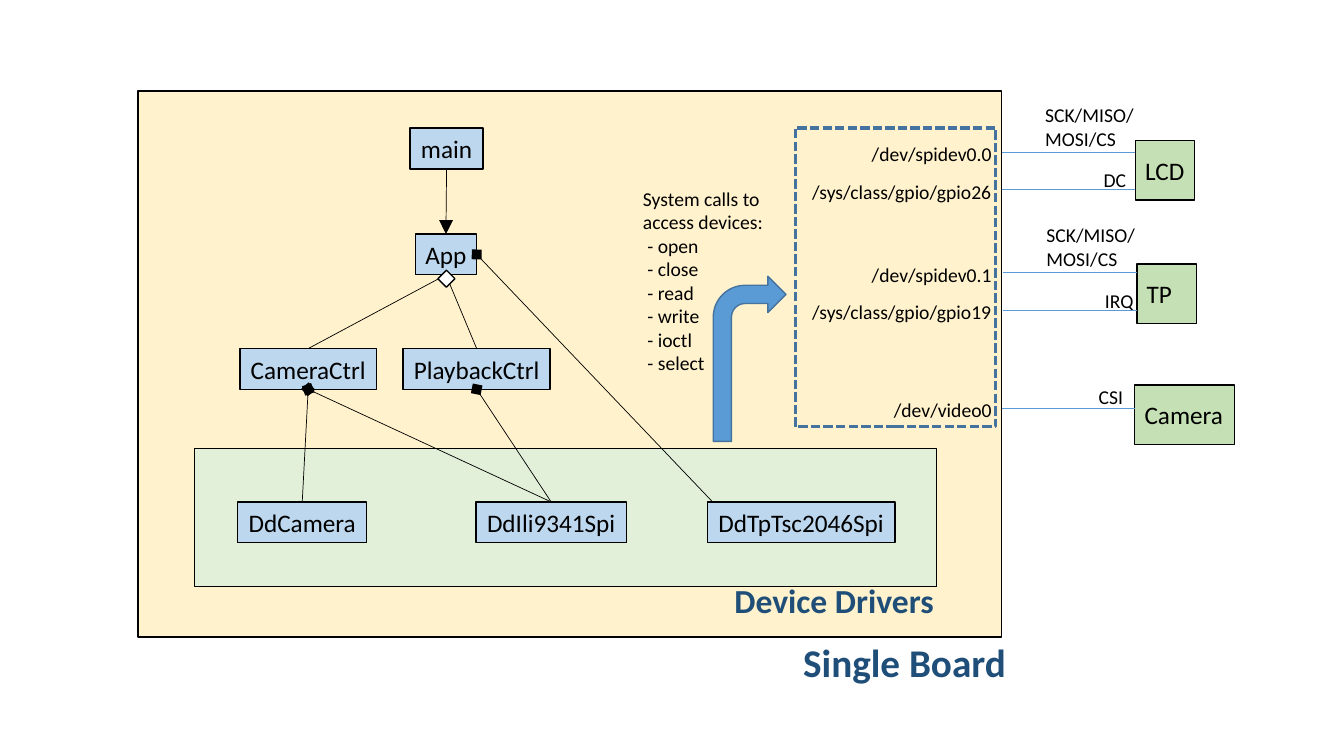
import pptx
import pptx.util
import pptx.dml.color
import pptx.enum.dml
import pptx.enum.shapes
import pptx.enum.text
import pptx.oxml
import pptx.oxml.ns

Pt = pptx.util.Pt
RGBColor = pptx.dml.color.RGBColor
SHAPE = pptx.enum.shapes.MSO_SHAPE
ANCHOR = pptx.enum.text.MSO_ANCHOR
ALIGN = pptx.enum.text.PP_ALIGN
GROW = pptx.enum.text.MSO_AUTO_SIZE

BLACK = RGBColor(0x00, 0x00, 0x00)
WHITE = RGBColor(0xFF, 0xFF, 0xFF)
CREAM = RGBColor(0xFF, 0xF2, 0xCC)
PALE_GREEN = RGBColor(0xE2, 0xF0, 0xD9)
GREEN = RGBColor(0xC5, 0xE0, 0xB4)
PALE_BLUE = RGBColor(0xBD, 0xD7, 0xEE)
BLUE = RGBColor(0x5B, 0x9B, 0xD5)
STEEL = RGBColor(0x43, 0x73, 0x9E)
NAVY = RGBColor(0x1F, 0x4E, 0x79)

CLASS_HEIGHT = 29.1
DEVICE_HEIGHT = 42.5
BOARD_EDGE = 715.7
DEVICE_EDGE = 811
LABEL_HEIGHT = 24.2
TP_SHIFT = (1, 86)


def apply_format(target, values):
    for name, value in values.items():
        setattr(target, name, value)


def write(owner, text, size=14, color=BLACK, bold=False, align=ALIGN.LEFT, **frame_format):
    frame = owner.text_frame
    apply_format(frame, {"word_wrap": False, **frame_format})
    for number, words in enumerate(text.split("\n")):
        paragraph = frame.add_paragraph() if number else frame.paragraphs[0]
        paragraph.alignment = align
        run = paragraph.add_run()
        run.text = words
        apply_format(run.font, {"name": "Calibri", "size": Pt(size), "bold": bold})
        run.font.color.rgb = color


def shape(slide, kind, box, fill=None, outline=BLACK, **line_format):
    figure = slide.shapes.add_shape(kind, *map(Pt, box))
    figure.shadow.inherit = False
    if fill is None:
        figure.fill.background()
    else:
        figure.fill.solid()
        figure.fill.fore_color.rgb = fill
    figure.line.color.rgb = outline
    apply_format(figure.line, {"width": Pt(1), **line_format})
    return figure


def class_box(slide, name, left, top, width):
    box = shape(slide, SHAPE.RECTANGLE, (left, top, width, CLASS_HEIGHT), PALE_BLUE)
    write(box, name, 18, align=ALIGN.CENTER, vertical_anchor=ANCHOR.MIDDLE,
          auto_size=GROW.SHAPE_TO_FIT_TEXT)
    return box


def device(slide, name, left, top, width=DEVICE_HEIGHT):
    box = shape(slide, SHAPE.RECTANGLE, (left, top, width, DEVICE_HEIGHT), GREEN)
    write(box, name, 18, vertical_anchor=ANCHOR.MIDDLE)


def label(slide, text, left, top, width, height=LABEL_HEIGHT, **style):
    box = slide.shapes.add_textbox(*map(Pt, (left, top, width, height)))
    write(box, text, auto_size=GROW.SHAPE_TO_FIT_TEXT, **style)


def link(slide, start, end, color=BLACK, head=None, tail=None):
    line = slide.shapes.add_connector(pptx.enum.shapes.MSO_CONNECTOR.STRAIGHT, *start, *end)
    line.line.color.rgb = color
    line.line.width = Pt(0.5)
    for tag, arrow in (("a:headEnd", head), ("a:tailEnd", tail)):
        if arrow:
            tip = pptx.oxml.parse_xml(
                f'<{tag} {pptx.oxml.ns.nsdecls("a")} type="{arrow}" w="lg" len="lg"/>')
            line.line._get_or_add_ln().append(tip)
    line._element.spPr.append(
        pptx.oxml.parse_xml(f'<a:effectLst {pptx.oxml.ns.nsdecls("a")}/>'))


def top_of(box):
    return box.left + box.width // 2, box.top


def bottom_of(box):
    return box.left + box.width // 2, box.top + box.height


def right_of(box):
    return box.left + box.width, box.top + box.height // 2


def wire(slide, y, dx=0):
    link(slide, (Pt(DEVICE_EDGE + dx), Pt(y)), (Pt(BOARD_EDGE + dx), Pt(y)), BLUE)


def spi_wiring(slide, spi_node, gpio_node, signal, signal_width, dx=0, dy=0):
    label(slide, spi_node, 615.6, 98 + dy, 100.8)
    label(slide, gpio_node, 573.1, 125 + dy, 144)
    label(slide, signal, 781.2 + dx, 116.7 + dy, signal_width)
    label(slide, "SCK/MISO/\nMOSI/CS", 739.4 + dx, 70 + dy, 78.5, 41.2)
    for y in (108.6, 135.5):
        wire(slide, y + dy, dx)


def draw_classes(slide):
    main_box = class_box(slide, "main", 293, 91.5, 52)
    app = class_box(slide, "App", 296.6, 167.2, 43.9)
    camera_ctrl = class_box(slide, "CameraCtrl", 171.5, 249, 97.3)
    playback_ctrl = class_box(slide, "PlaybackCtrl", 288, 249, 105)
    camera_driver = class_box(slide, "DdCamera", 169.8, 358.5, 92.2)
    lcd_driver = class_box(slide, "DdIli9341Spi", 340, 358.5, 107.4)
    touch_driver = class_box(slide, "DdTpTsc2046Spi", 505.3, 358.5, 133.9)

    link(slide, top_of(app), bottom_of(main_box), head="triangle")
    for controller in (camera_ctrl, playback_ctrl):
        link(slide, top_of(controller), bottom_of(app))
    for driver, controller in ((camera_driver, camera_ctrl), (lcd_driver, playback_ctrl),
                               (lcd_driver, camera_ctrl)):
        link(slide, top_of(driver), bottom_of(controller), tail="diamond")
    link(slide, (Pt(509), touch_driver.top), right_of(app), tail="diamond")
    shape(slide, SHAPE.DIAMOND, (312.8, 193, 12.2, 12.2), WHITE)


def draw_devices(slide):
    device(slide, "LCD", 810.9, 100.5)
    spi_wiring(slide, "/dev/spidev0.0", "/sys/class/gpio/gpio26", "DC", 31)
    device(slide, "TP", 812, 188.5)
    spi_wiring(slide, "/dev/spidev0.1", "/sys/class/gpio/gpio19", "IRQ", 35.3, *TP_SHIFT)
    device(slide, "Camera", 810.5, 275, 71.5)
    label(slide, "/dev/video0", 631.4, 280.9, 85)
    label(slide, "CSI", 777.6, 271.5, 32.4)
    wire(slide, 291.6)


def main():
    deck = pptx.Presentation()
    apply_format(deck, {"slide_width": Pt(960), "slide_height": Pt(540)})
    slide = deck.slides.add_slide(deck.slide_layouts[6])

    shape(slide, SHAPE.RECTANGLE, (98.6, 65, 617, 390), CREAM)
    shape(slide, SHAPE.RECTANGLE, (139, 320.5, 530, 98.5), PALE_GREEN)
    draw_classes(slide)
    label(slide, "Device Drivers", 517.5, 411, 158.4, 36, size=24, color=NAVY, bold=True)
    label(slide, "Single Board", 566.6, 452.2, 162, 41, size=28, color=NAVY, bold=True)
    draw_devices(slide)
    shape(slide, SHAPE.RECTANGLE, (568.1, 91.5, 143.3, 213.5), None, STEEL,
          width=Pt(2.25), dash_style=pptx.enum.dml.MSO_LINE.SQUARE_DOT)
    shape(slide, SHAPE.BENT_ARROW, (509.5, 197.3, 52, 118), BLUE, STEEL)
    calls = ("open", "close", "read", "write", "ioctl", "select")
    label(slide, "\n".join(["System calls to", "access devices:"] + [f" - {call}" for call in calls]),
          452.2, 129.6, 100.8, 143.3)
    deck.save("out.pptx")


main()
